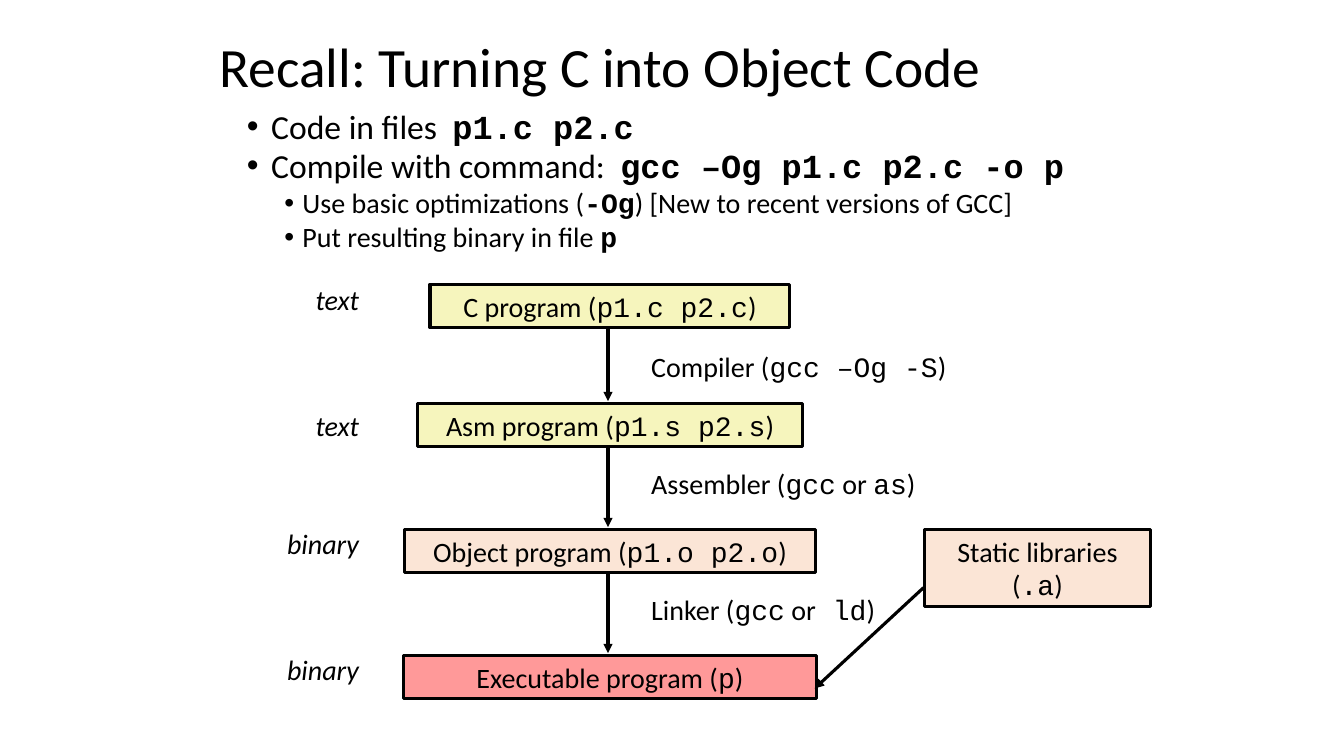
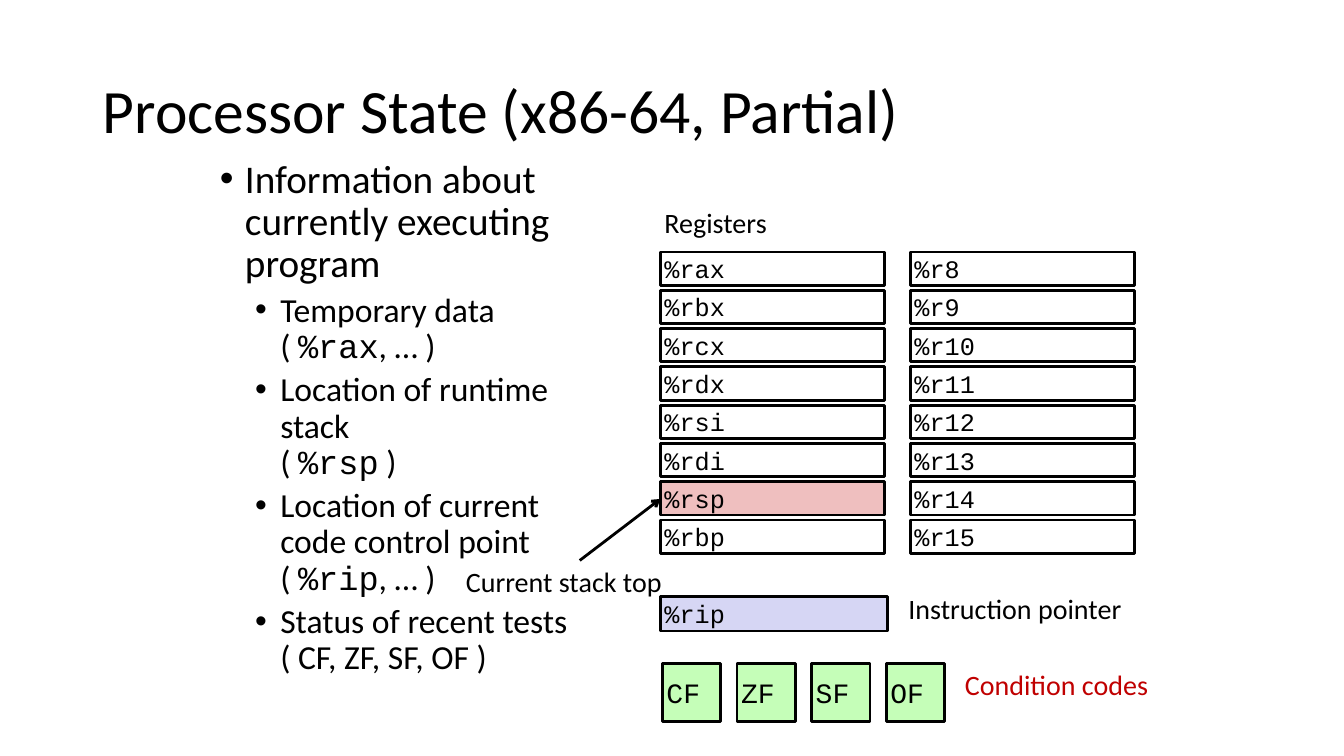
from dataclasses import dataclass

from lxml.etree import SubElement
from pptx import Presentation
from pptx.dml.color import RGBColor
from pptx.enum.shapes import MSO_CONNECTOR as CONN, MSO_SHAPE as SHAPE
from pptx.enum.text import MSO_ANCHOR as ANCHOR, MSO_AUTO_SIZE as FIT, PP_ALIGN as ALIGN
from pptx.oxml.ns import qn
from pptx.util import Inches, Pt

# Shared style
BLACK = RGBColor(0x00, 0x00, 0x00)
YELLOW = RGBColor(0xF6, 0xF5, 0xBD)
PEACH = RGBColor(0xFB, 0xE5, 0xD6)
RED = RGBColor(0xFF, 0x99, 0x99)
PINK = RGBColor(0xEF, 0xBF, 0xBF)
LILAC = RGBColor(0xD6, 0xD6, 0xF4)
GREEN = RGBColor(0xC5, 0xFE, 0xB8)
DARK_RED = RGBColor(0xC0, 0x00, 0x00)
SANS, MONO = "Calibri", "Courier New"
WIDE_INSETS, TIGHT_INSETS = (0.1, 0.05), (0.04, 0.04)


@dataclass
class Bullet:
    text: str
    level: int
    size: float
    margin: float
    hanging: float
    before: float = 5


@dataclass
class Stage:
    text: str
    top: float
    width: float
    fill: RGBColor
    kind: str
    kind_top: float


@dataclass
class Step:
    text: str
    top: float


# Drawing functions
def write(p, text: str, *, size: float = 20, color: RGBColor = BLACK,
          italic: bool = False, bold_code: bool = False, align=ALIGN.LEFT) -> None:
    """Write text into a paragraph; parts between backticks are code."""
    p.alignment = align
    for i, part in enumerate(text.split("`")):
        code = i % 2 == 1
        for j, line in enumerate(part.split("\n")):
            if j:
                p.add_line_break()
            if line:
                r = p.add_run()
                r.text = line
                r.font.name = MONO if code else SANS
                r.font.size = Pt(size)
                r.font.color.rgb = color
                r.font.italic = italic
                r.font.bold = code and bold_code


def place(sp, left: float, top: float, width: float, height: float) -> None:
    sp.left, sp.top = Inches(left), Inches(top)
    sp.width, sp.height = Inches(width), Inches(height)


def set_frame(tf, insets: tuple, *, wrap: bool = True, anchor=ANCHOR.TOP) -> None:
    tf.word_wrap = wrap
    tf.auto_size = FIT.NONE
    tf.vertical_anchor = anchor
    tf.margin_left = tf.margin_right = Inches(insets[0])
    tf.margin_top = tf.margin_bottom = Inches(insets[1])


def add_label(s, text: str, at: tuple, *, insets: tuple = WIDE_INSETS,
              wrap: bool = True, **fmt) -> None:
    sp = s.shapes.add_textbox(*map(Inches, at))
    set_frame(sp.text_frame, insets, wrap=wrap)
    write(sp.text_frame.paragraphs[0], text, **fmt)


def add_box(s, text: str, at: tuple, *, fill: RGBColor | None = None,
            line: float = 2, insets: tuple = TIGHT_INSETS,
            anchor=ANCHOR.MIDDLE, **fmt) -> None:
    sp = s.shapes.add_shape(SHAPE.RECTANGLE, *map(Inches, at))
    sp.shadow.inherit = False
    if fill is None:
        sp.fill.background()
    else:
        sp.fill.solid()
        sp.fill.fore_color.rgb = fill
    sp.line.color.rgb = BLACK
    sp.line.width = Pt(line)
    set_frame(sp.text_frame, insets, anchor=anchor)
    write(sp.text_frame.paragraphs[0], text, **fmt)


def add_arrow(s, start: tuple, end: tuple, *, width: float = 2.25,
              head: str = "triangle") -> None:
    cn = s.shapes.add_connector(CONN.STRAIGHT, *map(Inches, (*start, *end)))
    cn.line.color.rgb = BLACK
    cn.line.width = Pt(width)
    spPr = cn.element.spPr
    SubElement(spPr.find(qn("a:ln")), qn("a:tailEnd"), type=head)
    SubElement(spPr, qn("a:effectLst"))


def add_slide(prs, title: str, title_at: tuple, title_size: float,
              bullets: list[Bullet], body_at: tuple, spacing: float,
              bold_code: bool = False):
    s = prs.slides.add_slide(prs.slide_layouts[1])
    heading, body = s.shapes.title, s.placeholders[1]

    place(heading, *title_at)
    set_frame(heading.text_frame, WIDE_INSETS, anchor=ANCHOR.MIDDLE)
    p = heading.text_frame.paragraphs[0]
    p.line_spacing = 0.9
    write(p, title, size=title_size)

    place(body, *body_at)
    tf = body.text_frame
    set_frame(tf, WIDE_INSETS)
    for i, b in enumerate(bullets):
        p = tf.add_paragraph() if i else tf.paragraphs[0]
        p.level = b.level
        p.line_spacing = spacing
        p.space_before = Pt(b.before)
        pPr = p._p.get_or_add_pPr()
        pPr.set("marL", str(Inches(b.margin)))
        pPr.set("indent", str(-Inches(b.hanging)))
        SubElement(pPr, qn("a:buFont"), typeface="Arial")
        SubElement(pPr, qn("a:buChar"), char="•")
        write(p, b.text, size=b.size, bold_code=bold_code)
    return s


prs = Presentation()
prs.slide_width, prs.slide_height = Inches(13.33), Inches(7.5)

# Slide 1: compilation pipeline
s = add_slide(
    prs, "Recall: Turning C into Object Code", (2.08, 0.37, 9.17, 0.63), 39.6,
    [Bullet("Code in files  `p1.c p2.c`", 1, 24, 0.61, 0.24),
     Bullet("Compile with command:  `gcc –Og p1.c p2.c -o p`", 1, 24, 0.61, 0.24),
     Bullet("Use basic optimizations (`-Og`) [New to recent versions of GCC]",
            2, 20, 0.92, 0.18),
     Bullet("Put resulting binary in file `p`", 2, 20, 0.92, 0.18)],
    (1.98, 1.08, 9.09, 1.6), 0.8, bold_code=True)

CENTER, ARROW_X, BOX_H = 6.05, 6.03, 0.43
KIND_W, KIND_RIGHT = 1.09, 3.66
stages = [
    Stage("C program (`p1.c p2.c`)", 2.82, 3.57, YELLOW, "text", 2.75),
    Stage("Asm program (`p1.s p2.s`)", 4, 3.82, YELLOW, "text", 4),
    Stage("Object program (`p1.o p2.o`)", 5.25, 4.07, PEACH, "binary", 5.17),
    Stage("Executable program (`p`)", 6.5, 4.1, RED, "binary", 6.42),
]
steps = [
    Step("Compiler (`gcc –Og -S`)", 3.42),
    Step("Assembler (`gcc` or `as`)", 4.58),
    Step("Linker (`gcc` or` ld`)", 5.83),
]
stage_style = dict(line=2.25, insets=WIDE_INSETS, anchor=ANCHOR.TOP,
                   align=ALIGN.CENTER)

for stage in stages:
    add_label(s, stage.kind, (KIND_RIGHT - KIND_W, stage.kind_top, KIND_W, BOX_H),
              italic=True, align=ALIGN.RIGHT)
    add_box(s, stage.text, (CENTER - stage.width / 2, stage.top, stage.width, BOX_H),
            fill=stage.fill, **stage_style)
for step, above, below in zip(steps, stages, stages[1:]):
    add_arrow(s, (ARROW_X, above.top + BOX_H), (ARROW_X, below.top - 0.02))
    add_label(s, step.text, (6.36, step.top, 3.32, BOX_H))

add_box(s, "Static libraries (`.a`)", (9.17, 5.25, 2.24, 0.77), fill=PEACH,
        **stage_style)
add_arrow(s, (9.16, 5.83), (8.08, 6.83))

# Slide 2: registers and condition codes
s = add_slide(
    prs, "Processor State (x86-64, Partial)", (0.92, 0.4, 11.5, 1.45), 44,
    [Bullet("Information about currently executing program", 0, 28, 0.25, 0.25, 10)]
    + [Bullet(text, 1, 24, 0.6, 0.25) for text in (
        "Temporary data\n( `%rax`, … )",
        "Location of runtime stack\n( `%rsp` )",
        "Location of current code control point\n( `%rip`, … )",
        "Status of recent tests\n( CF, ZF, SF, OF )")],
    (2.08, 1.53, 3.65, 5.94), 0.9)

REG_TOP, REG_STEP, REG_W, REG_H = 2.5, 0.38, 2.22, 0.33
register_columns = {
    6.55: ["rax", "rbx", "rcx", "rdx", "rsi", "rdi", "rsp", "rbp"],
    9.03: [f"r{n}" for n in range(8, 16)],
}
for left, names in register_columns.items():
    for row, name in enumerate(names):
        add_box(s, f"`%{name}`", (left, REG_TOP + row * REG_STEP, REG_W, REG_H),
                fill=PINK if name == "rsp" else None, size=18)
add_box(s, "`%rip`", (6.55, 5.92, 2.25, 0.34), fill=LILAC, size=18)

FLAG_LEFT, FLAG_STEP, FLAG_SIZE = 6.57, 0.74, 0.58
for i, flag in enumerate(("CF", "ZF", "SF", "OF")):
    add_box(s, f"`{flag}`", (FLAG_LEFT + i * FLAG_STEP, 6.58, FLAG_SIZE, FLAG_SIZE),
            fill=GREEN)

for text, at in (("Registers", (6.55, 2, 1.13, 0.42)),
                 ("Current stack top", (4.58, 5.56, 2.08, 0.42)),
                 ("Instruction pointer", (8.97, 5.83, 2.26, 0.42))):
    add_label(s, text, at, insets=TIGHT_INSETS, wrap=False)
add_label(s, "Condition codes", (9.53, 6.58, 1.97, 0.49), insets=TIGHT_INSETS,
          color=DARK_RED)
add_arrow(s, (5.75, 5.56), (6.55, 4.95), width=2, head="arrow")

prs.save("out.pptx")
